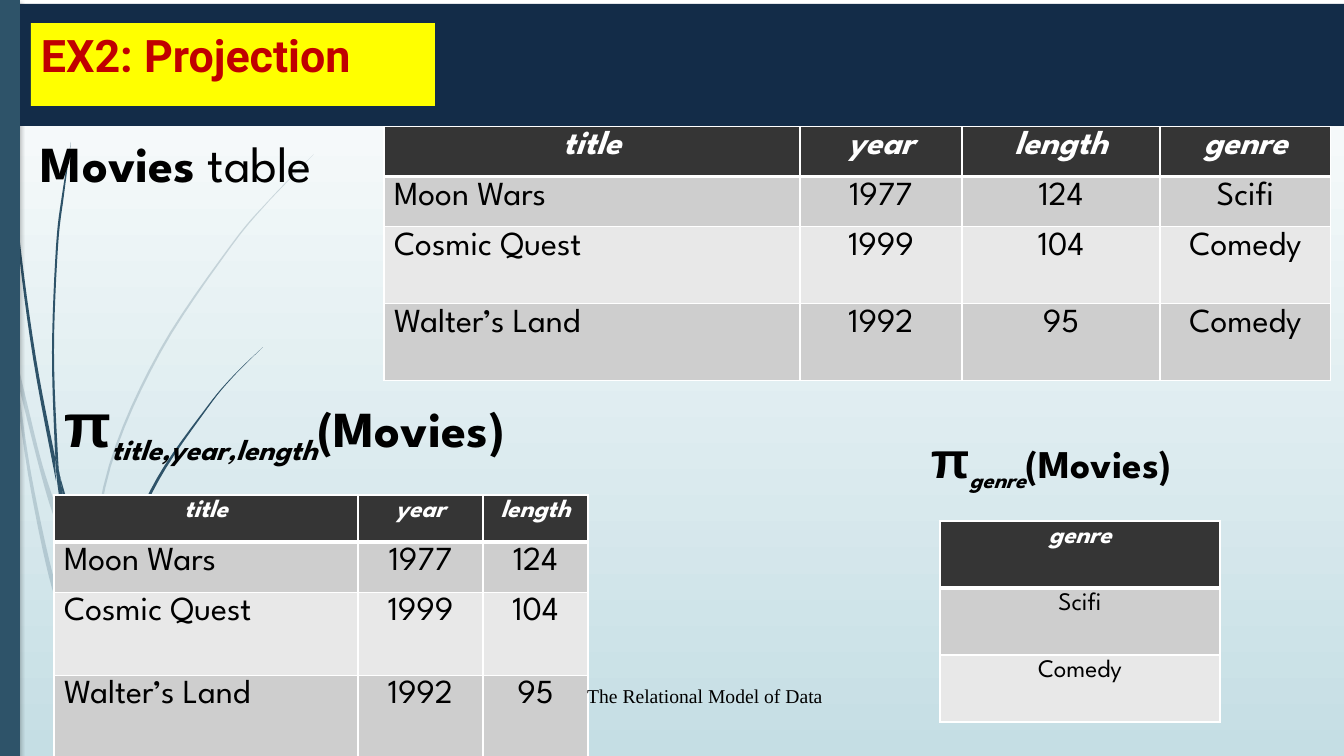
import pptx
import pptx.dml.color
import pptx.enum.shapes
import pptx.enum.text
import pptx.oxml
import pptx.oxml.ns
import pptx.util

PX = 914400 / 100.8
COLORS = {
    "teal": "2E5369", "navy": "132C48", "yellow": "FFFF00", "red": "C00000",
    "black": "000000", "white": "FFFFFF", "header": "353535",
    "band_dark": "CECECE", "band_light": "E8E8E8", "sky": "C5DEE4",
}
SPARTAN = "League Spartan"
ALIGN = pptx.enum.text.PP_ALIGN
ANCHOR = pptx.enum.text.MSO_ANCHOR

FAINT_BLADES = [
    ([(0, 284), (8, 325), (11, 353)], [(10, 347), (0, 301)]),
    ([(14, 348), (28, 407), (43, 467), (62, 524), (85, 591)],
     [(85, 604), (57, 526), (42, 478), (17, 379)]),
    ([(11, 353), (17, 379), (31, 473), (53, 575), (71, 624), (94, 688), (102, 720)],
     [(93, 699), (66, 626), (49, 577), (28, 474), (11, 353)]),
    ([(86, 589), (109, 465), (159, 351), (230, 246), (270, 199), (314, 154)],
     [(270, 200), (231, 247), (161, 352), (111, 466), (89, 589), (89, 601)]),
]
SOLID_BLADES = [
    ([(3, 0), (4, 48), (7, 111), (17, 235), (33, 358), (56, 481)],
     [(55, 457), (36, 358), (19, 234), (8, 110), (5, 48), (4, 0)]),
    ([(60, 476), (94, 595), (107, 636)], [(107, 650), (89, 597), (65, 509)]),
    ([(57, 481), (65, 509), (73, 560), (99, 662), (111, 697), (118, 728)],
     [(112, 714), (94, 664), (69, 561), (57, 481)]),
    ([(71, 142), (64, 195), (58, 247), (54, 352), (58, 457), (60, 476)],
     [(55, 453), (52, 352), (56, 247), (62, 195), (71, 142)]),
    ([(55, 453), (60, 476), (65, 509)], [(57, 481), (55, 457)]),
    ([(263, 347), (233, 377), (207, 409), (159, 480), (126, 556), (112, 638)],
     [(107, 636), (123, 555), (157, 478), (206, 408), (233, 376), (263, 347)]),
]

MOVIES = [
    ("title", "year", "length", "genre"),
    ("Moon Wars", "1977", "124", "Scifi"),
    ("Cosmic Quest", "1999", "104", "Comedy"),
    ("Walter’s Land", "1992", "95", "Comedy"),
]


def emu(n):
    """Turn px into EMU."""
    return pptx.util.Emu(round(n * PX))


def rgb(name):
    """Look up a named colour."""
    return pptx.dml.color.RGBColor.from_string(COLORS[name])


def set_font(font, size, color="black", name=SPARTAN, bold=False, italic=False):
    """Set the looks of a font."""
    font.size = pptx.util.Pt(size)
    font.name = name
    font.bold = bold
    font.italic = italic
    font.color.rgb = rgb(color)


def paint(sp, color):
    """Give a shape a plain fill without line or shadow."""
    sp.fill.solid()
    sp.fill.fore_color.rgb = rgb(color)
    sp.line.fill.background()
    sp.shadow.inherit = False


def smooth(points, steps=6):
    """Sample a smooth curve that passes through the points."""
    ends = [points[0], *points, points[-1]]
    curve = []
    for a, b, c, d in zip(ends, ends[1:], ends[2:], ends[3:]):
        for t in (i / steps for i in range(steps)):
            curve.append(tuple(
                q + t * ((r - p) + t * ((2 * p - 5 * q + 4 * r - s) + t * (3 * q - p - 3 * r + s))) / 2
                for p, q, r, s in zip(a, b, c, d)))
    return curve + [points[-1]]


def add_blades(slide, blades, alpha=100):
    """Draw grass blades, each from its two edges."""
    for out, back in blades:
        points = [(emu(x), emu(y)) for x, y in smooth(out) + smooth(back)]
        builder = slide.shapes.build_freeform(*points[0], scale=1.0)
        builder.add_line_segments(points[1:], close=True)
        sp = builder.convert_to_shape()
        paint(sp, "teal")
        if alpha < 100:
            clr = sp.fill._xPr.find(".//" + pptx.oxml.ns.qn("a:srgbClr"))
            clr.append(pptx.oxml.parse_xml(
                f'<a:alpha {pptx.oxml.ns.nsdecls("a")} val="{alpha * 1000}"/>'))


def add_rect(slide, box, color):
    """Add a plain rectangle."""
    sp = slide.shapes.add_shape(
        pptx.enum.shapes.MSO_SHAPE.RECTANGLE, *map(emu, box))
    paint(sp, color)
    return sp


def add_side_bar(slide, box):
    """Add the left bar with its soft shadow."""
    sp = add_rect(slide, box, "teal")
    effects = sp._element.spPr.find(pptx.oxml.ns.qn("a:effectLst"))
    effects.append(pptx.oxml.parse_xml(
        f'<a:outerShdw {pptx.oxml.ns.nsdecls("a")} blurRad="38100" dist="25400" dir="5400000">'
        '<a:srgbClr val="000000"><a:alpha val="25000"/></a:srgbClr></a:outerShdw>'))


def add_title(slide, box):
    """Add the yellow title box."""
    tf = add_rect(slide, box, "yellow").text_frame
    tf.vertical_anchor = ANCHOR.TOP
    p = tf.paragraphs[0]
    p.text = "EX2: Projection"
    p.alignment = ALIGN.LEFT
    p.space_before = pptx.util.Pt(10)
    set_font(p.font, 32, "red", "Roboto", bold=True)


def add_text(slide, box, wrap=True):
    """Add a text box and return its text frame."""
    tf = slide.shapes.add_textbox(*map(emu, box)).text_frame
    tf.word_wrap = wrap
    return tf


def add_projection(slide, box, columns, pi_size, size, wrap=True):
    """Write a projection of Movies onto the columns."""
    p = add_text(slide, box, wrap).paragraphs[0]
    parts = [("π", pi_size, "Arial"), (columns, size, SPARTAN), ("(Movies)", size, SPARTAN)]
    for text, points, name in parts:
        r = p.add_run()
        r.text = text
        set_font(r.font, points, name=name, bold=True, italic=text == columns)
        if text == columns:
            r._r.get_or_add_rPr().set("baseline", "-25000")


def add_label(slide, box):
    """Write the name of the source table."""
    p = add_text(slide, box).paragraphs[0]
    for text, bold in (("Movies", True), (" table", False)):
        r = p.add_run()
        r.text = text
        set_font(r.font, 36, bold=bold)


def add_footer(slide, box):
    """Write the centred footer."""
    tf = add_text(slide, box)
    tf.vertical_anchor = ANCHOR.MIDDLE
    p = tf.paragraphs[0]
    p.text = "The Relational Model of Data"
    p.alignment = ALIGN.CENTER
    set_font(p.font, 14, name="Times New Roman")


def add_borders(cell, row):
    """Draw white borders, thick between header and body."""
    thick = {"B": 0, "T": 1}
    for side in "LRTB":
        width = 38100 if thick.get(side) == row else 12192
        cell._tc.get_or_add_tcPr().append(pptx.oxml.parse_xml(
            f'<a:ln{side} {pptx.oxml.ns.nsdecls("a")} w="{width}"><a:solidFill>'
            f'<a:srgbClr val="{COLORS["white"]}"/></a:solidFill></a:ln{side}>'))


def add_relation(slide, left, top, widths, heights, rows, header_size, body_size):
    """Add a table of tuples under a dark header."""
    table = slide.shapes.add_table(
        len(rows), len(widths), emu(left), emu(top), emu(sum(widths)), emu(sum(heights))).table
    for column, width in zip(table.columns, widths):
        column.width = emu(width)
    for i, (height, values) in enumerate(zip(heights, rows)):
        table.rows[i].height = emu(height)
        for j, value in enumerate(values):
            cell = table.cell(i, j)
            add_borders(cell, i)
            cell.fill.solid()
            band = "band_dark" if i % 2 else "band_light"
            cell.fill.fore_color.rgb = rgb(band if i else "header")
            p = cell.text_frame.paragraphs[0]
            p.text = value
            is_title = i > 0 and rows[0][j] == "title"
            p.alignment = ALIGN.LEFT if is_title else ALIGN.CENTER
            if i:
                set_font(p.font, body_size)
            else:
                set_font(p.font, header_size, "white", bold=True, italic=True)


def add_background(slide):
    """Fade the background from white to pale blue."""
    fill = slide.background.fill
    fill.gradient()
    fill.gradient_angle = 270
    for stop, color, position in zip(fill.gradient_stops, ("white", "sky"), (0, 1)):
        stop.color.rgb = rgb(color)
        stop.position = position


def main():
    """Build the slide and save it."""
    prs = pptx.Presentation()
    prs.slide_width, prs.slide_height = emu(1344), emu(756)
    slide = prs.slides.add_slide(prs.slide_layouts[6])
    add_background(slide)
    add_blades(slide, FAINT_BLADES, alpha=20)
    add_blades(slide, SOLID_BLADES)
    add_side_bar(slide, (0, 0, 20, 756))
    add_projection(slide, (54, 381, 552, 85), "title,year,length", 44, 36)
    add_relation(slide, 384, 126, (416, 162, 198, 171), (50, 50, 77, 77), MOVIES, 24, 24)
    add_relation(slide, 54, 495, (304, 125, 105), (47, 47, 83, 83),
                 [row[:3] for row in MOVIES], 18, 24)
    add_projection(slide, (921, 423, 284, 72), "genre", 36, 28, wrap=False)
    genres = [(genre,) for genre in dict.fromkeys(row[3] for row in MOVIES)]
    add_relation(slide, 940, 521, (280,), (67, 67, 67), genres, 18, 18)
    add_rect(slide, (20, 4, 1324, 122), "navy")
    add_title(slide, (31, 23, 404, 83))
    add_label(slide, (31, 127, 352, 72))
    add_footer(slide, (285, 676, 840, 40))
    prs.save("out.pptx")


if __name__ == "__main__":
    main()
